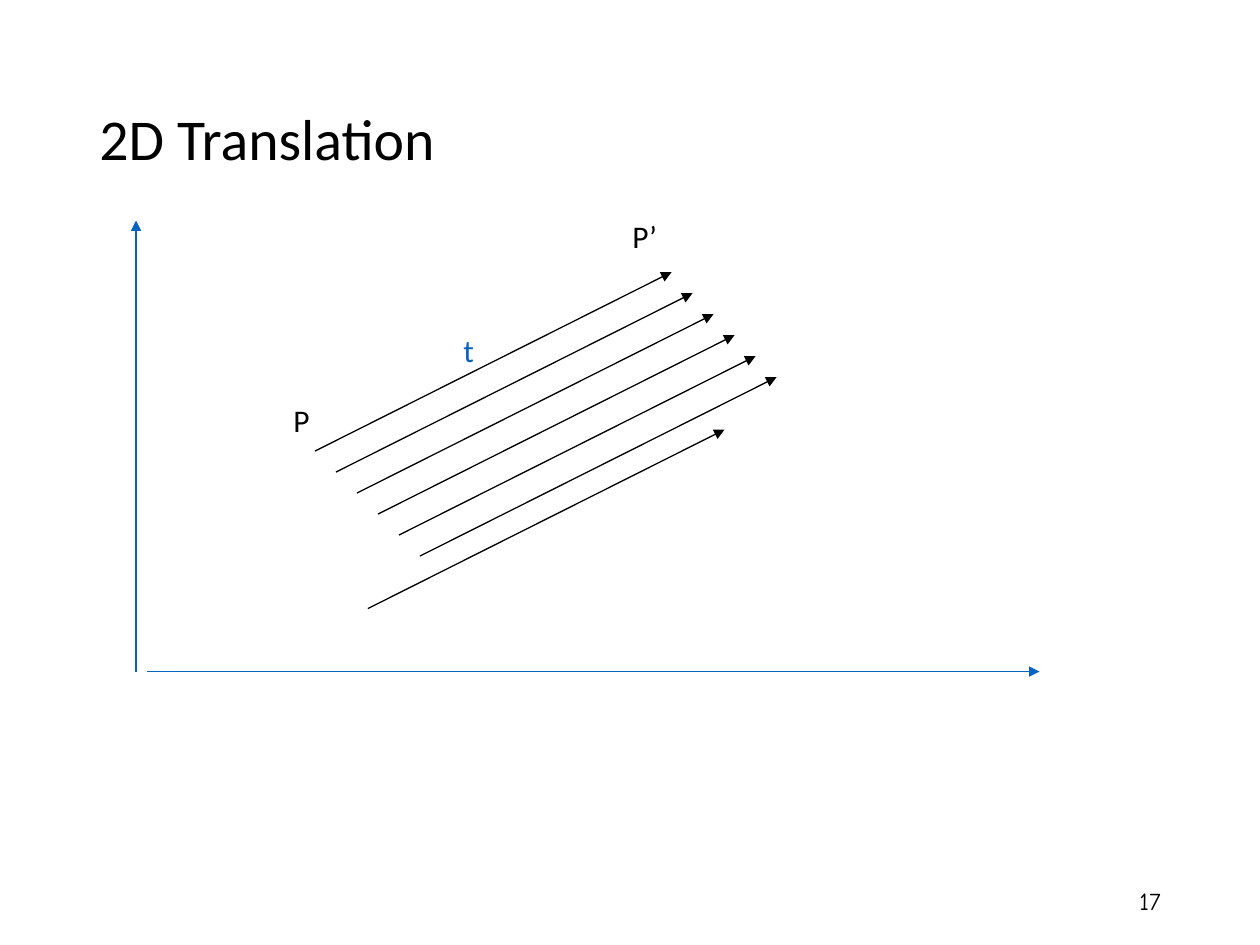
import pptx
import pptx.dml.color
import pptx.enum.shapes
import pptx.enum.text
import pptx.oxml
import pptx.oxml.ns
import pptx.util

Inches = pptx.util.Inches
Anchor = pptx.enum.text.MSO_ANCHOR
Align = pptx.enum.text.PP_ALIGN

COLORS = {"ink": "000000", "accent": "0563C1"}


class SlideBuilder:
    """Holds the slide being built and its text and line style."""

    font_name = "Calibri"
    line_width = pptx.util.Pt(0.75)

    def __init__(self, slide):
        self.slide = slide

    def color(self, name):
        return pptx.dml.color.RGBColor.from_string(COLORS[name])

    def text(self, text, left, top, width, height, size, color="ink", font_name=None,
             anchor=Anchor.MIDDLE, align=Align.LEFT, wrap=True, line_spacing=1.0):
        shape = self.slide.shapes.add_textbox(
            Inches(left), Inches(top), Inches(width), Inches(height))
        text_frame = shape.text_frame
        text_frame.word_wrap = wrap
        text_frame.vertical_anchor = anchor
        text_frame.text = text
        paragraph = text_frame.paragraphs[0]
        paragraph.alignment = align
        paragraph.line_spacing = line_spacing
        font = paragraph.runs[0].font
        font.name = font_name or self.font_name
        font.size = pptx.util.Pt(size)
        font.color.rgb = self.color(color)
        return shape

    def label(self, text, left, top, width, color="ink"):
        shape = self.text(text, left, top, width, 0.5, 18, color,
                          anchor=Anchor.TOP, wrap=False)
        shape.text_frame.auto_size = pptx.enum.text.MSO_AUTO_SIZE.SHAPE_TO_FIT_TEXT

    def arrow(self, start, end, color="ink"):
        connector = self.slide.shapes.add_connector(
            pptx.enum.shapes.MSO_CONNECTOR.STRAIGHT,
            *(Inches(length) for length in (*start, *end)))
        connector.line.color.rgb = self.color(color)
        connector.line.width = self.line_width
        properties = connector.element.spPr
        line = properties.find(pptx.oxml.ns.qn("a:ln"))
        namespace = pptx.oxml.ns.nsdecls("a")
        line.append(pptx.oxml.parse_xml(f'<a:tailEnd {namespace} type="triangle"/>'))
        properties.append(pptx.oxml.parse_xml(f"<a:effectLst {namespace}/>"))


def main():
    presentation = pptx.Presentation()
    presentation.slide_width = Inches(10)
    presentation.slide_height = Inches(7.5)
    builder = SlideBuilder(presentation.slides.add_slide(presentation.slide_layouts[6]))

    builder.text("2D Translation", 0.69, 0.4, 8.62, 1.45, 33, line_spacing=0.9)
    builder.text("17", 7.06, 6.95, 2.25, 0.4, 14, font_name="Comic Neue",
                 align=Align.RIGHT)

    builder.arrow((1.08, 5.33), (1.08, 1.75), "accent")
    builder.arrow((1.17, 5.33), (8.25, 5.33), "accent")

    # Every point moves by the same translation vector.
    shift_x, shift_y = 2.83, -1.42
    points = [(2.5 + step / 6, 3.58 + step / 6) for step in range(6)]
    points.append((2.92, 4.83))
    for x, y in points:
        builder.arrow((x, y), (x + shift_x, y + shift_y))

    builder.label("t", 3.58, 2.58, 0.36, "accent")
    builder.label("P", 2.23, 3.13, 0.38)
    builder.label("P’", 4.92, 1.67, 0.44)

    presentation.save("out.pptx")


if __name__ == "__main__":
    main()
